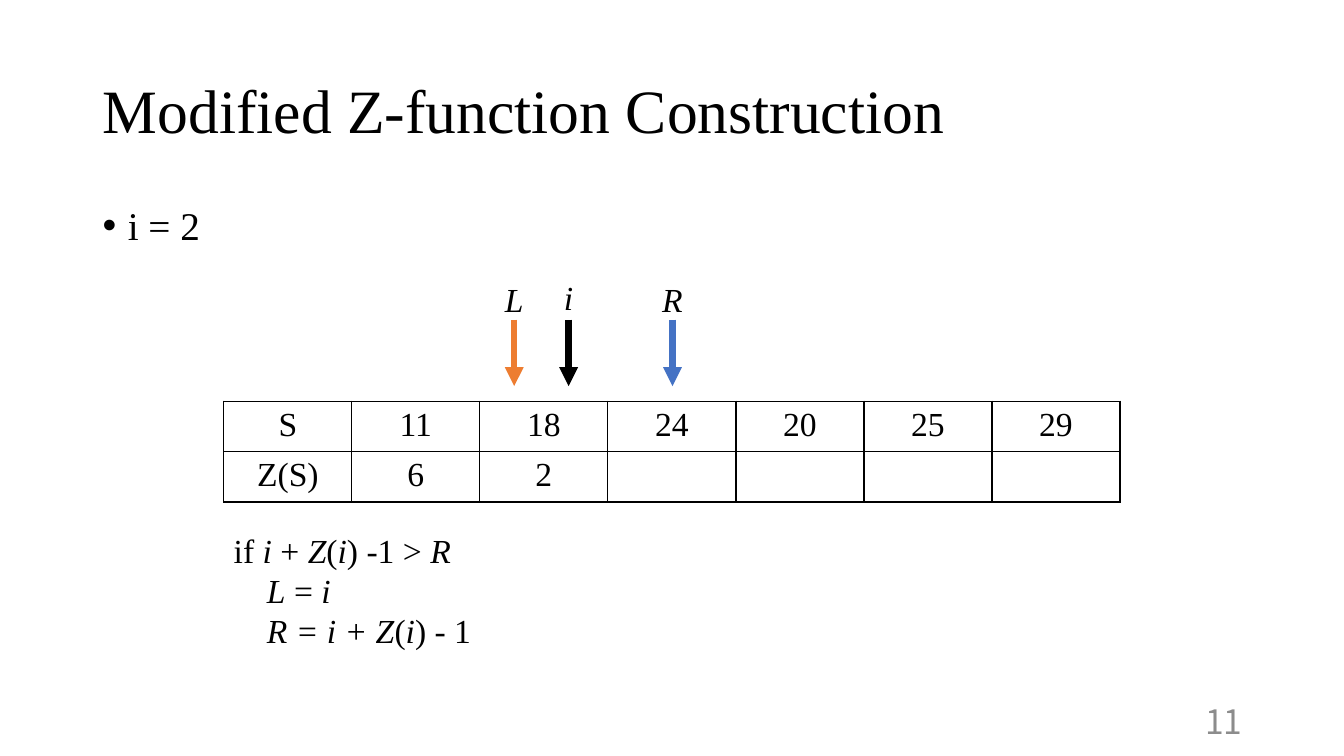
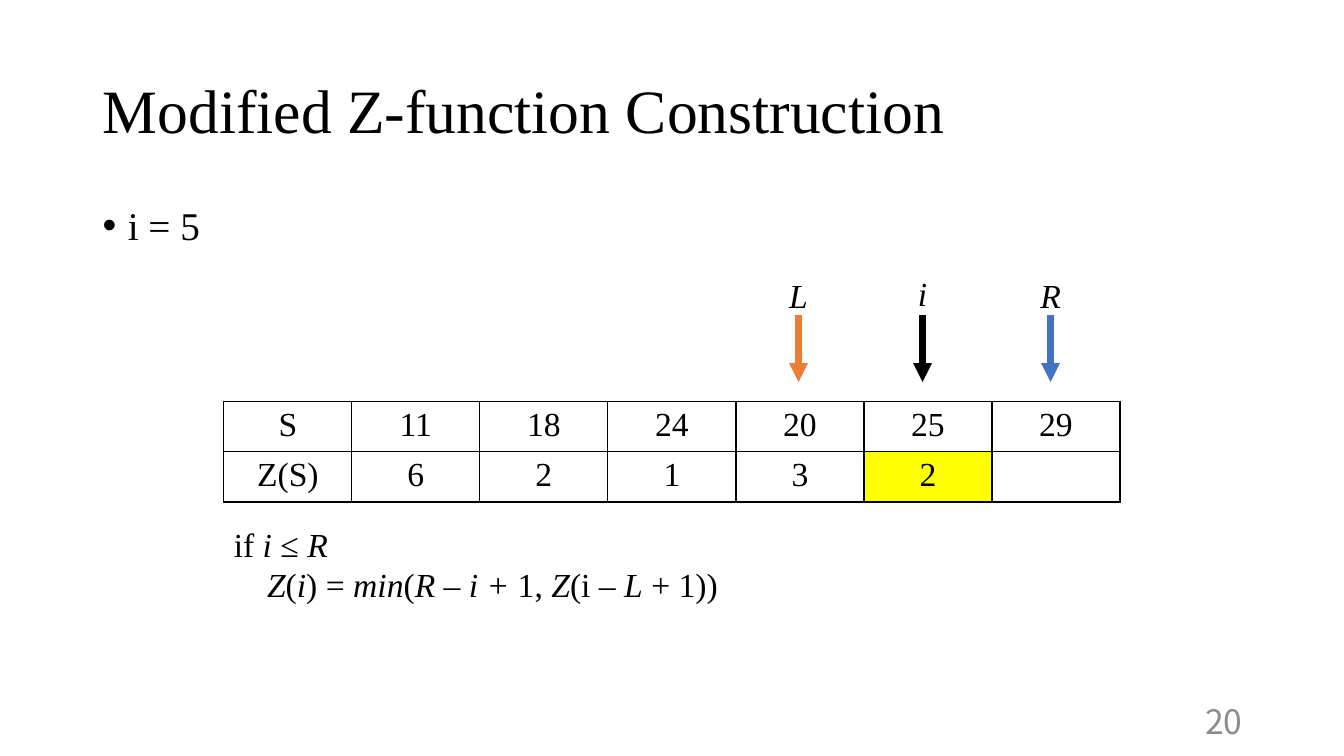
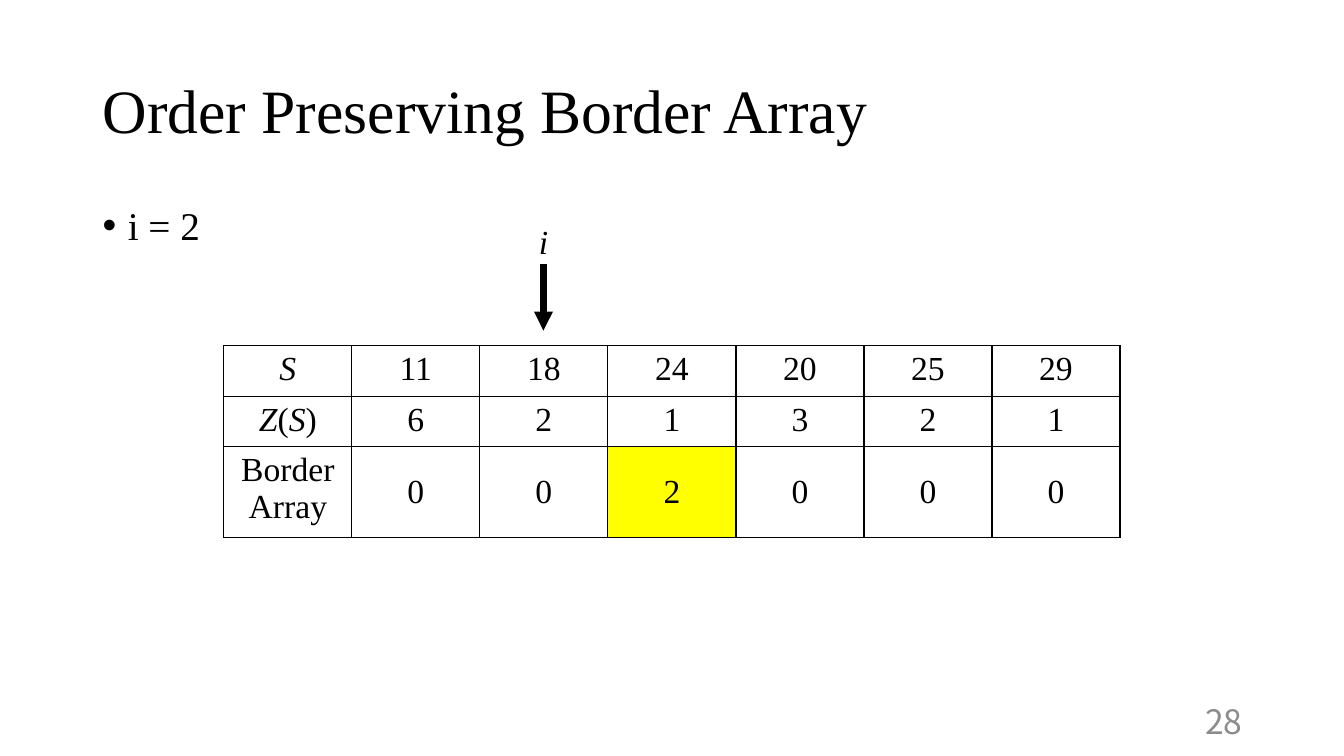
from lxml import etree
from pptx import Presentation
from pptx.dml.color import RGBColor
from pptx.enum.shapes import MSO_CONNECTOR
from pptx.enum.text import MSO_ANCHOR, PP_ALIGN
from pptx.oxml import parse_xml
from pptx.oxml.ns import nsdecls, qn
from pptx.util import Pt

PX = 9144  # 100 px to the inch
LEFT, CENTER, RIGHT = PP_ALIGN.LEFT, PP_ALIGN.CENTER, PP_ALIGN.RIGHT
TOP, MIDDLE = MSO_ANCHOR.TOP, MSO_ANCHOR.MIDDLE
STRAIGHT = MSO_CONNECTOR.STRAIGHT

COLORS = {
    "text": "000000",
    "page": "8C8C8C",
    "L": "ED7D31",
    "R": "4472C4",
    "i": "000000",
    "highlight": "FFFF00",
}
SERIF = "Times New Roman"
SANS = "Noto Sans CJK JP"
LINE = Pt(28.6)

TABLE_LEFT, COL_W, ROW_H, TALL_ROW_H = 222, 127, 47, 84
ARROW_H, LABEL_W, LABEL_H = 66, 48, 50
LABEL_RISE = {"L": 45, "R": 45, "i": 47}

S_VALUES = ["11", "18", "24", "20", "25", "29"]

SLIDES = [
    {
        "title": "Modified Z-function Construction",
        "step": "i = 2",
        "page": "11",
        "table_top": 398,
        "rows": [["S", *S_VALUES], ["Z(S)", "6", "2", "", "", "", ""]],
        "highlight": None,
        "arrow_top": 317,
        "arrows": {"L": 510, "R": 667, "i": 564},
        "code": (521, 283, 131,
                 "if *i* + *Z*(*i*) -1 > *R*\n\t*L* = *i*\n\t*R = i + Z*(*i*) - 1"),
    },
    {
        "title": "Modified Z-function Construction",
        "step": "i = 5",
        "page": "20",
        "table_top": 398,
        "rows": [["S", *S_VALUES], ["Z(S)", "6", "2", "1", "3", "2", ""]],
        "highlight": (1, 5),
        "arrow_top": 313,
        "arrows": {"L": 792, "R": 1042, "i": 915},
        "code": (515, 582, 91,
                 "if *i* ≤ *R*\n"
                 "\t*Z*(*i*) = *min*(*R* – *i +* 1, *Z*(i – *L* + 1))"),
    },
    {
        "title": "Order Preserving Border Array",
        "step": "i = 2",
        "page": "28",
        "table_top": 343,
        "rows": [["*S*", *S_VALUES],
                 ["*Z*(*S*)", "6", "2", "1", "3", "2", "1"],
                 ["Border Array", "0", "0", "2", "0", "0", "0"]],
        "highlight": (2, 3),
        "arrow_top": 262,
        "arrows": {"i": 539},
        "code": None,
    },
]


def write(p, text, size=24, font=SERIF, color="text", align=LEFT, spacing=None):
    """Fill a paragraph; text between asterisks is italic."""
    p.alignment = align
    if spacing:
        p.line_spacing = spacing
    for n, part in enumerate(text.split("*")):
        if part:
            r = p.add_run()
            r.text = part
            r.font.size = Pt(size)
            r.font.name = font
            r.font.italic = n % 2 == 1
            r.font.color.rgb = RGBColor.from_string(COLORS[color])


def add_text(slide, text, box, anchor=TOP, bullet=False, **fmt):
    """Add a text box; a leading tab indents a line by 33 px."""
    sp = slide.shapes.add_textbox(*[v * PX for v in box])
    tf = sp.text_frame
    tf.word_wrap = True
    tf.vertical_anchor = anchor
    for n, line in enumerate(text.split("\n")):
        p = tf.add_paragraph() if n else tf.paragraphs[0]
        pPr = p._p.get_or_add_pPr()
        if line.startswith("\t"):
            pPr.set("marL", str(33 * PX))
        if bullet:
            pPr.set("marL", str(25 * PX))
            pPr.set("indent", str(-25 * PX))
            etree.SubElement(pPr, qn("a:buFont"), typeface="Arial")
            etree.SubElement(pPr, qn("a:buChar"), char="•")
        write(p, line.lstrip("\t"), **fmt)


prs = Presentation()
prs.slide_width = 1333 * PX
prs.slide_height = 750 * PX

for data in SLIDES:
    slide = prs.slides.add_slide(prs.slide_layouts[6])
    add_text(slide, data["title"], (92, 40, 1150, 145), anchor=MIDDLE,
             size=44, spacing=0.9)
    add_text(slide, data["step"], (92, 200, 1150, 476), bullet=True,
             size=28, spacing=0.9)
    add_text(slide, data["page"], (942, 695, 300, 40), anchor=MIDDLE,
             font=SANS, color="page", align=RIGHT)

    # Value table
    rows = data["rows"]
    heights = [ROW_H, ROW_H, TALL_ROW_H][:len(rows)]
    cols = len(rows[0])
    table = slide.shapes.add_table(
        len(rows), cols, TABLE_LEFT * PX, data["table_top"] * PX,
        cols * COL_W * PX, sum(heights) * PX).table
    table.first_row = table.horz_banding = False
    for col in table.columns:
        col.width = COL_W * PX
    for y, values in enumerate(rows):
        table.rows[y].height = heights[y] * PX
        for x, value in enumerate(values):
            cell = table.cell(y, x)
            tcPr = cell._tc.get_or_add_tcPr()
            for side in ("lnL", "lnR", "lnT", "lnB"):
                tcPr.append(parse_xml(
                    f'<a:{side} {nsdecls("a")} w="12700"><a:solidFill>'
                    f'<a:srgbClr val="{COLORS["text"]}"/></a:solidFill></a:{side}>'))
            if (y, x) == data["highlight"]:
                cell.fill.solid()
                cell.fill.fore_color.rgb = RGBColor.from_string(COLORS["highlight"])
            else:
                cell.fill.background()
            cell.vertical_anchor = MIDDLE if y == 2 and x else TOP
            write(cell.text_frame.paragraphs[0], value, align=CENTER)

    # Index arrows with their labels
    top = data["arrow_top"]
    for name, x in data["arrows"].items():
        arrow = slide.shapes.add_connector(
            STRAIGHT, x * PX, top * PX, x * PX, (top + ARROW_H) * PX)
        arrow.line.color.rgb = RGBColor.from_string(COLORS[name])
        arrow.line.width = Pt(4.5)
        etree.SubElement(arrow.line._get_or_add_ln(), qn("a:tailEnd"), type="triangle")
        etree.SubElement(arrow._element.spPr, qn("a:effectLst"))
        add_text(slide, f"*{name}*",
                 (x - LABEL_W // 2, top - LABEL_RISE[name], LABEL_W, LABEL_H),
                 align=CENTER, spacing=LINE)

    if data["code"]:
        code_top, width, height, code = data["code"]
        add_text(slide, code, (TABLE_LEFT, code_top, width, height), spacing=LINE)

prs.save("out.pptx")
